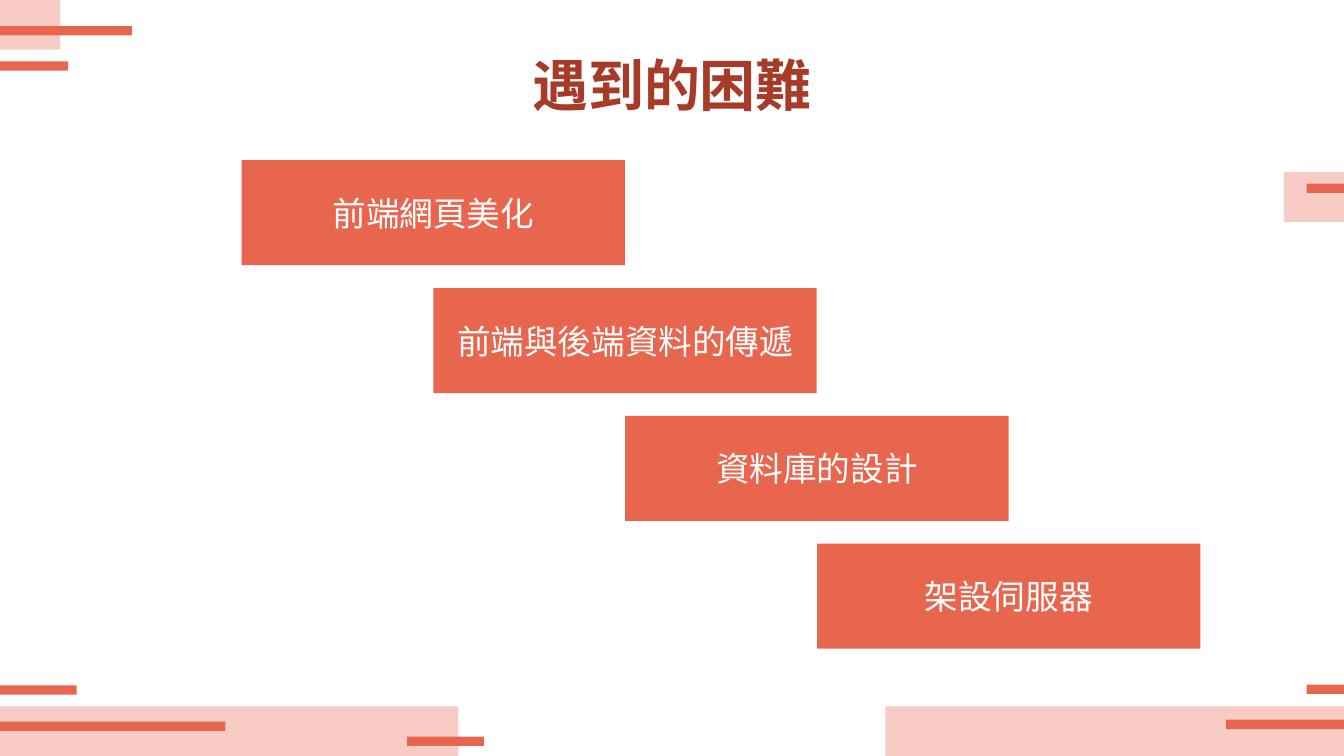
from typing import NamedTuple

from pptx import Presentation
from pptx.dml.color import RGBColor
from pptx.enum import shapes, text
from pptx.util import Pt

CORAL = "E9664E"
PINK = "F7CCC5"
BRICK = "A83B28"
WHITE = "FFFFFF"
BAR_HEIGHT = 6.7
BLOCK_HEIGHT = 35.5
INSET = 9.4


class Box(NamedTuple):
    left: float
    top: float
    width: float
    height: float


class Decoration(NamedTuple):
    box: Box
    color: str


def block(left: float, top: float, width: float) -> Decoration:
    return Decoration(Box(left, top, width, BLOCK_HEIGHT), PINK)


def bar(left: float, top: float, width: float) -> Decoration:
    return Decoration(Box(left, top, width, BAR_HEIGHT), CORAL)


DECORATIONS = [
    block(0, 0, 43),
    bar(0, 18.7, 94.2),
    bar(0, 43.8, 48.7),
    block(0, 504.5, 327.5),
    bar(0, 515.5, 161),
    bar(0, 489.6, 54.8),
    bar(290.8, 526.2, 54.8),
    block(632.5, 504.5, 327.5),
    bar(933.3, 489, 26.7),
    bar(875.6, 514.1, 84.4),
    block(917, 123, 43),
    bar(933.3, 131.2, 26.7),
]
DIFFICULTIES = ["前端網頁美化", "前端與後端資料的傳遞", "資料庫的設計", "架設伺服器"]
FIRST_STEP = Box(172.6, 114.5, 273.8, 75)
STEP_RIGHT = 137
STEP_DOWN = 91.3


def rgb(color: str) -> RGBColor:
    return RGBColor.from_string(color)


def add_rectangle(s, box: Box, color: str):
    sp = s.shapes.add_shape(shapes.MSO_SHAPE.RECTANGLE, *map(Pt, box))
    sp.shadow.inherit = False
    sp.fill.solid()
    sp.fill.fore_color.rgb = rgb(color)
    sp.line.fill.background()
    return sp


def set_text(sp, content: str, size: float, font: str, color: str, bold: bool = False) -> None:
    tf = sp.text_frame
    tf.text = content
    tf.word_wrap = True
    tf.vertical_anchor = text.MSO_ANCHOR.MIDDLE
    tf.margin_left = tf.margin_right = tf.margin_top = tf.margin_bottom = Pt(INSET)
    p = tf.paragraphs[0]
    p.alignment = text.PP_ALIGN.CENTER
    r = p.runs[0]
    r.font.size = Pt(size)
    r.font.name = font
    r.font.bold = bold
    r.font.color.rgb = rgb(color)


def main() -> None:
    prs = Presentation()
    prs.slide_width, prs.slide_height = Pt(960), Pt(540)
    s = prs.slides.add_slide(prs.slide_layouts[6])

    for decoration in DECORATIONS:
        add_rectangle(s, decoration.box, decoration.color)

    title = s.shapes.add_textbox(*map(Pt, Box(63.2, 30.2, 833.6, 60.5)))
    set_text(title, "遇到的困難", 40, "Arial", BRICK, bold=True)

    for i, difficulty in enumerate(DIFFICULTIES):
        box = FIRST_STEP._replace(
            left=FIRST_STEP.left + i * STEP_RIGHT,
            top=FIRST_STEP.top + i * STEP_DOWN,
        )
        set_text(add_rectangle(s, box, CORAL), difficulty, 24, "Cambria", WHITE)

    prs.save("out.pptx")


if __name__ == "__main__":
    main()
